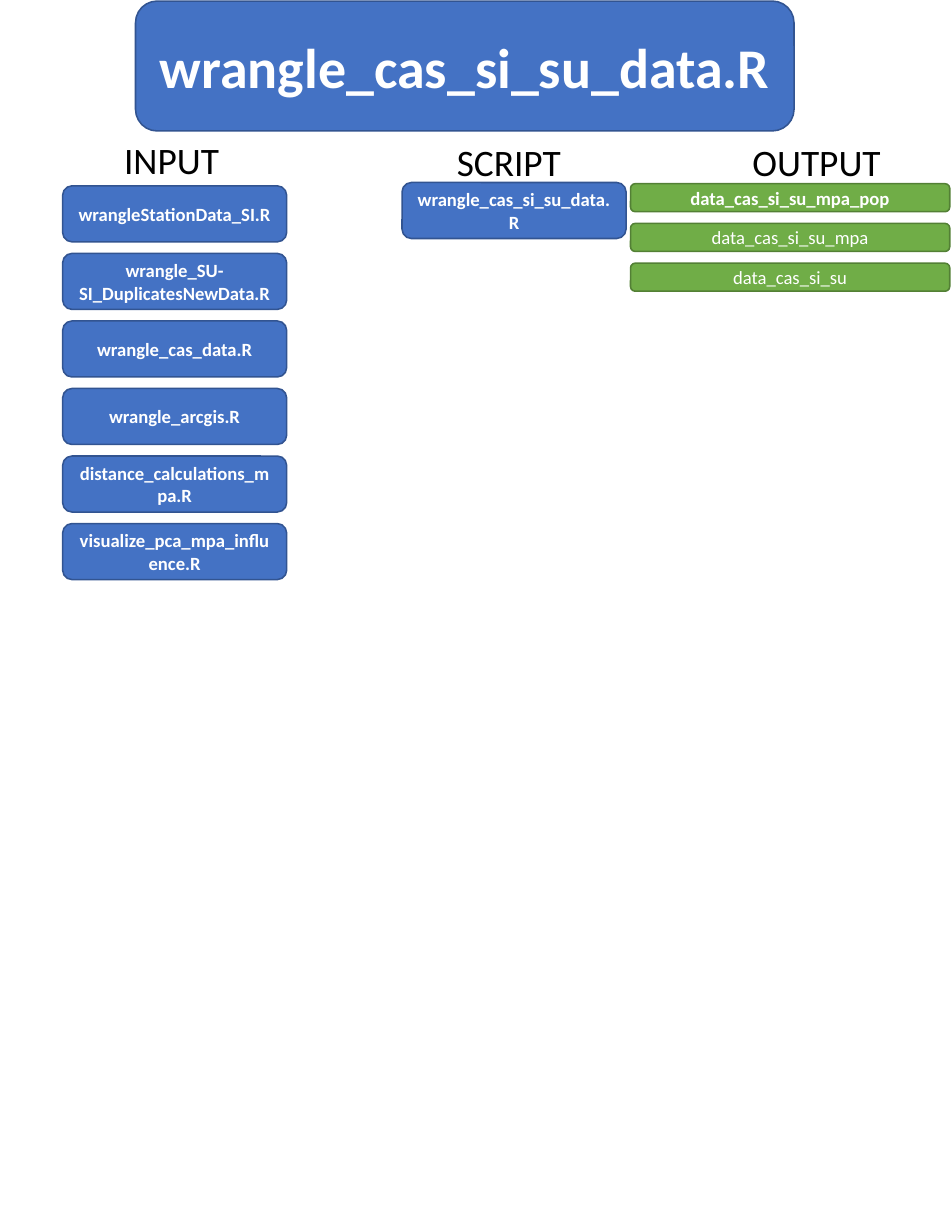
from dataclasses import dataclass

from pptx import Presentation
from pptx.dml.color import RGBColor
from pptx.enum.shapes import MSO_SHAPE
from pptx.enum.text import MSO_ANCHOR, PP_ALIGN
from pptx.slide import Slide
from pptx.util import Inches, Pt

ROUNDED = MSO_SHAPE.ROUNDED_RECTANGLE
MIDDLE = MSO_ANCHOR.MIDDLE
CENTER = PP_ALIGN.CENTER

WHITE = RGBColor(0xFF, 0xFF, 0xFF)
BLACK = RGBColor(0x00, 0x00, 0x00)
BLUE = RGBColor(0x44, 0x72, 0xC4)
DARK_BLUE = RGBColor(0x32, 0x54, 0x91)
GREEN = RGBColor(0x70, 0xAD, 0x47)
DARK_GREEN = RGBColor(0x53, 0x80, 0x35)

FONT = "Calibri"
SLIDE_WIDTH = Inches(8.5)
SLIDE_HEIGHT = Inches(11)
GRID_COLUMNS = 850
GRID_ROWS = 1100


@dataclass(frozen=True)
class Area:
    column: float
    row: float
    columns: float
    rows: float

    def lengths(self) -> tuple[int, int, int, int]:
        cell_width = SLIDE_WIDTH / GRID_COLUMNS
        cell_height = SLIDE_HEIGHT / GRID_ROWS
        return (
            round(self.column * cell_width),
            round(self.row * cell_height),
            round(self.columns * cell_width),
            round(self.rows * cell_height),
        )


@dataclass(frozen=True)
class Style:
    fill: RGBColor
    outline: RGBColor
    size: int = 12
    bold: bool = True


@dataclass(frozen=True)
class Stack:
    first: Area
    pitch: float
    entries: tuple[tuple[str, Style], ...]


@dataclass(frozen=True)
class Heading:
    label: str
    area: Area


SCRIPT_STYLE = Style(BLUE, DARK_BLUE)
TITLE_STYLE = Style(BLUE, DARK_BLUE, size=36)
MAIN_DATA_STYLE = Style(GREEN, DARK_GREEN)
DATA_STYLE = Style(GREEN, DARK_GREEN, bold=False)

SCRIPT_NAME = "wrangle_cas_si_su_data.R"
INPUT_SCRIPTS = (
    "wrangleStationData_SI.R",
    "wrangle_SU-SI_DuplicatesNewData.R",
    "wrangle_cas_data.R",
    "wrangle_arcgis.R",
    "distance_calculations_mpa.R",
    "visualize_pca_mpa_influence.R",
)

HEADINGS = (
    Heading("INPUT", Area(101, 118, 121, 50)),
    Heading("SCRIPT", Area(398, 119, 121, 50)),
    Heading("OUTPUT", Area(662, 119, 136, 50)),
)

STACKS = (
    Stack(Area(121, 1, 588, 116), 0, ((SCRIPT_NAME, TITLE_STYLE),)),
    Stack(
        Area(56, 166, 200, 50),
        60.3,
        tuple((name, SCRIPT_STYLE) for name in INPUT_SCRIPTS),
    ),
    Stack(Area(359, 163, 200, 50), 0, ((SCRIPT_NAME, SCRIPT_STYLE),)),
    Stack(
        Area(563, 164, 285, 25),
        35.5,
        (
            ("data_cas_si_su_mpa_pop", MAIN_DATA_STYLE),
            ("data_cas_si_su_mpa", DATA_STYLE),
            ("data_cas_si_su", DATA_STYLE),
        ),
    ),
)


def draw_heading(slide: Slide, heading: Heading) -> None:
    frame = slide.shapes.add_textbox(*heading.area.lengths()).text_frame
    frame.word_wrap = True
    frame.margin_right = 0
    paragraph = frame.paragraphs[0]
    paragraph.text = heading.label
    paragraph.font.name = FONT
    paragraph.font.size = Pt(24)
    paragraph.font.color.rgb = BLACK


def draw_box(slide: Slide, label: str, area: Area, style: Style) -> None:
    box = slide.shapes.add_shape(ROUNDED, *area.lengths())
    box.shadow.inherit = False
    box.fill.solid()
    box.fill.fore_color.rgb = style.fill
    box.line.color.rgb = style.outline
    box.line.width = Pt(1)
    frame = box.text_frame
    frame.word_wrap = True
    frame.vertical_anchor = MIDDLE
    paragraph = frame.paragraphs[0]
    paragraph.text = label
    paragraph.alignment = CENTER
    paragraph.font.name = FONT
    paragraph.font.size = Pt(style.size)
    paragraph.font.bold = style.bold
    paragraph.font.color.rgb = WHITE


def draw_stack(slide: Slide, stack: Stack) -> None:
    first = stack.first
    for position, (label, style) in enumerate(stack.entries):
        row = first.row + position * stack.pitch
        area = Area(first.column, row, first.columns, first.rows)
        draw_box(slide, label, area, style)


def main() -> None:
    presentation = Presentation()
    presentation.slide_width = SLIDE_WIDTH
    presentation.slide_height = SLIDE_HEIGHT
    slide = presentation.slides.add_slide(presentation.slide_layouts[6])
    for heading in HEADINGS:
        draw_heading(slide, heading)
    for stack in STACKS:
        draw_stack(slide, stack)
    presentation.save("out.pptx")


if __name__ == "__main__":
    main()
